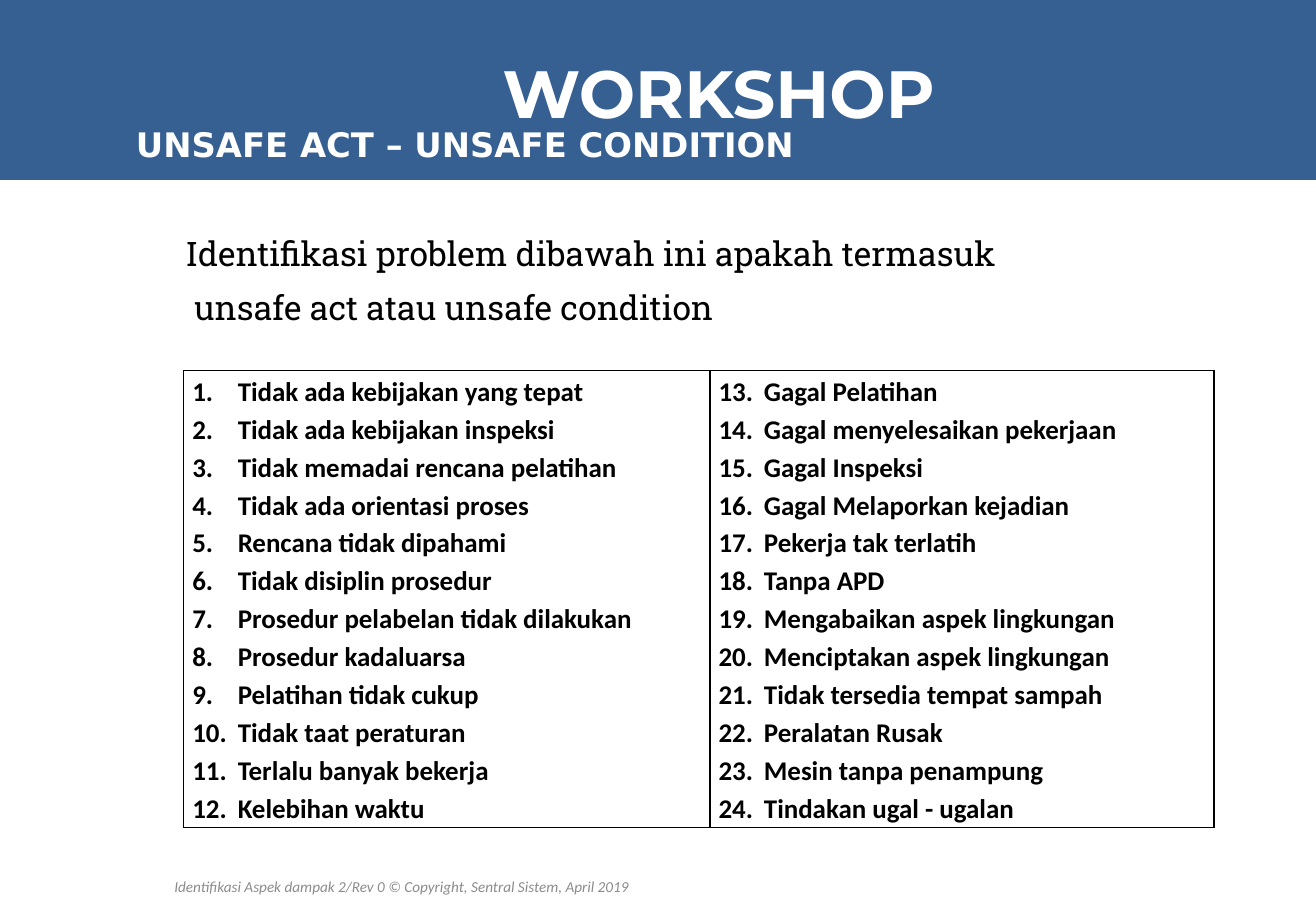
from lxml import etree
from pptx import Presentation
from pptx import util as u
from pptx.dml import color
from pptx.enum import text
from pptx.oxml import ns

BAND_BLUE, WHITE, BLACK, GREY = "376092", "FFFFFF", "000000", "8C8C8C"
CONDITIONS = [
    "Tidak ada kebijakan yang tepat",
    "Tidak ada kebijakan inspeksi",
    "Tidak memadai rencana pelatihan",
    "Tidak ada orientasi proses",
    "Rencana tidak dipahami",
    "Tidak disiplin prosedur",
    "Prosedur pelabelan tidak dilakukan",
    "Prosedur kadaluarsa",
    "Pelatihan tidak cukup",
    "Tidak taat peraturan",
    "Terlalu banyak bekerja",
    "Kelebihan waktu",
]
ACTS = [
    "Gagal Pelatihan",
    "Gagal menyelesaikan pekerjaan",
    "Gagal Inspeksi",
    "Gagal Melaporkan kejadian",
    "Pekerja tak terlatih",
    "Tanpa APD",
    "Mengabaikan aspek lingkungan",
    "Menciptakan aspek lingkungan",
    "Tidak tersedia tempat sampah",
    "Peralatan Rusak",
    "Mesin tanpa penampung",
    "Tindakan ugal - ugalan",
]


def rgb(value):
    return color.RGBColor.from_string(value)


def apply(target, values):
    for name, value in values.items():
        setattr(target, name, value)


def write(para, words, font, size, ink, **styles):
    span = para.add_run()
    span.text = words
    apply(span.font, {"name": font, "size": u.Pt(size), **styles})
    span.font.color.rgb = rgb(ink)


def place(shape, box):
    apply(shape, dict(zip(("left", "top", "width", "height"), map(u.Cm, box))))


def add_box(page, box):
    frame = page.shapes.add_textbox(*map(u.Cm, box)).text_frame
    frame.word_wrap = True
    return frame


def indent(para, left, first=0):
    properties = para._p.get_or_add_pPr()
    properties.set("marL", str(u.Cm(left)))
    properties.set("indent", str(u.Cm(first)))
    return properties


def add_header(page, box):
    title = page.shapes.title
    place(title, box)
    title.fill.solid()
    title.fill.fore_color.rgb = rgb(BAND_BLUE)
    frame = title.text_frame
    apply(frame, {
        "auto_size": text.MSO_AUTO_SIZE.NONE,
        "vertical_anchor": text.MSO_ANCHOR.MIDDLE,
        "margin_left": u.Cm(2.79),
        "margin_top": u.Cm(0.2),
    })
    para = frame.paragraphs[0]
    para.alignment = text.PP_ALIGN.CENTER
    write(para, "WORKSHOP", "Montserrat", 39.6, WHITE, bold=True)
    left, top = box[:2]
    subtitle = add_box(page, (left + 2.59, top + 2.46, 20.7, 1.12))
    write(subtitle.paragraphs[0], "UNSAFE ACT – UNSAFE CONDITION",
          "DejaVu Sans", 20, WHITE, bold=True)


def add_question(page, box):
    frame = add_box(page, box)
    first, second = frame.paragraphs[0], frame.add_paragraph()
    write(first, "Identifikasi problem dibawah ini apakah termasuk",
          "Roboto Slab", 20, BLACK)
    indent(second, 0.18)
    second.space_before = u.Pt(7.5)
    write(second, "unsafe act atau unsafe condition", "Roboto Slab", 20, BLACK)


def add_borders(cell):
    properties = cell._tc.get_or_add_tcPr()
    for position, side in enumerate(("lnL", "lnR", "lnT", "lnB")):
        line = etree.Element(ns.qn(f"a:{side}"), w=str(u.Pt(1)))
        fill = etree.SubElement(line, ns.qn("a:solidFill"))
        etree.SubElement(fill, ns.qn("a:srgbClr"), val=BLACK)
        properties.insert(position, line)


def fill_cell(cell, problems, start):
    cell.fill.background()
    add_borders(cell)
    apply(cell, {"margin_left": u.Cm(0.18), "margin_right": u.Cm(0.18),
                 "margin_top": 0, "margin_bottom": 0})
    frame = cell.text_frame
    for number, problem in enumerate(problems):
        para = frame.add_paragraph() if number else frame.paragraphs[0]
        properties = indent(para, 0.95, -0.95)
        etree.SubElement(properties, ns.qn("a:buAutoNum"),
                         type="arabicPeriod", startAt=str(start))
        para.line_spacing = 1.15
        write(para, problem, "Calibri", 16, BLACK, bold=True)


def add_problems(page, box):
    table = page.shapes.add_table(1, 2, *map(u.Cm, box)).table
    apply(table, {"first_row": False, "horz_banding": False})
    table.columns[0].width = u.Cm(11)
    table.columns[1].width = u.Cm(box[2] - 11)
    fill_cell(table.cell(0, 0), CONDITIONS, 1)
    fill_cell(table.cell(0, 1), ACTS, len(CONDITIONS) + 1)


def add_footer(page, box):
    frame = add_box(page, box)
    frame.vertical_anchor = text.MSO_ANCHOR.MIDDLE
    para = frame.paragraphs[0]
    para.alignment = text.PP_ALIGN.CENTER
    write(para, "Identifikasi Aspek dampak 2/Rev 0 © Copyright, Sentral Sistem, April 2019",
          "Calibri", 9, GREY, italic=True)


def main():
    deck = Presentation()
    apply(deck, {"slide_width": u.Cm(27.51), "slide_height": u.Cm(19.05)})
    page = deck.slides.add_slide(deck.slide_layouts.get_by_name("Title Only"))
    add_header(page, (0, 0, 27.51, 3.76))
    add_footer(page, (0.25, 18.03, 16.28, 1.02))
    add_problems(page, (3.84, 7.75, 21.54, 9.55))
    add_question(page, (3.63, 4.75, 22.02, 2.39))
    deck.save("out.pptx")


if __name__ == "__main__":
    main()
